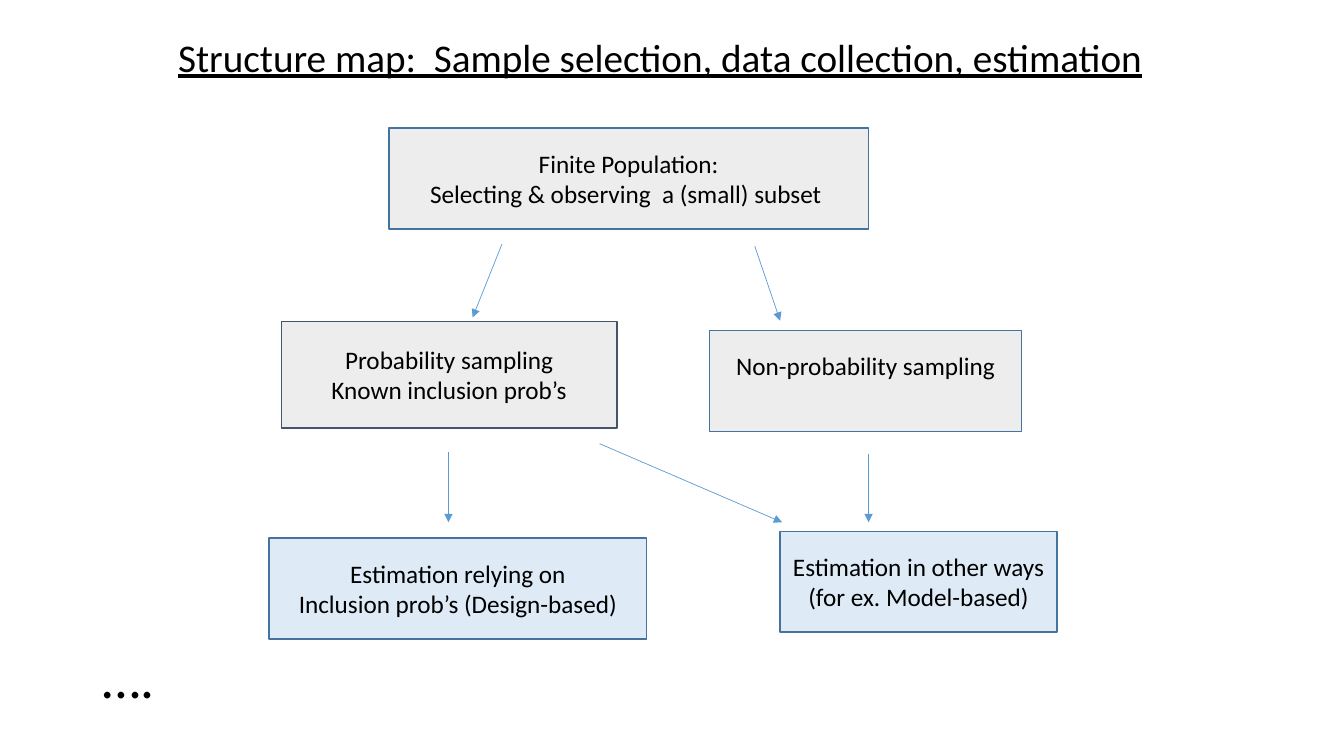
from lxml import etree
from pptx import Presentation
from pptx.dml.color import RGBColor
from pptx.enum.shapes import MSO_CONNECTOR, MSO_SHAPE
from pptx.enum.text import MSO_ANCHOR, PP_ALIGN
from pptx.oxml.ns import qn
from pptx.util import Cm, Pt

STRAIGHT = MSO_CONNECTOR.STRAIGHT
RECTANGLE = MSO_SHAPE.RECTANGLE
TOP, MIDDLE = MSO_ANCHOR.TOP, MSO_ANCHOR.MIDDLE
LEFT, CENTER = PP_ALIGN.LEFT, PP_ALIGN.CENTER

BLACK = RGBColor(0x00, 0x00, 0x00)
GRAY = RGBColor(0xED, 0xED, 0xED)
PALE_BLUE = RGBColor(0xDE, 0xEB, 0xF7)
BLUE = RGBColor(0x43, 0x73, 0x9E)
SLATE = RGBColor(0x44, 0x54, 0x6A)
ARROW_BLUE = RGBColor(0x5B, 0x9B, 0xD5)

FONT = "Calibri"
BOX_HEIGHT = 2.54
ARROW_END = 9.93

# Left, top, width, height (cm, within the map), text, fill, outline, bottom inset
BOXES = [
    (3.02, 0, 12.09, BOX_HEIGHT,
     "Finite Population:\nSelecting & observing  a (small) subset ", GRAY, BLUE, 0.13),
    (0.31, 4.87, 8.46, 2.69,
     "Probability sampling\nKnown inclusion prob’s", GRAY, SLATE, 0.13),
    (11.1, 5.1, 7.87, BOX_HEIGHT, "Non-probability sampling", GRAY, BLUE, 0.9),
    (0, 10.33, 9.52, BOX_HEIGHT,
     "Estimation relying on\nInclusion prob’s (Design-based)", PALE_BLUE, BLUE, 0.13),
    (12.88, 10.16, 6.98, BOX_HEIGHT,
     "Estimation in other ways\n(for ex. Model-based)", PALE_BLUE, BLUE, 0.13),
]

# Start x, start y, end x, end y (cm, within the map)
ARROWS = [
    (5.87, 2.92, 5.13, 4.77),
    (12.24, 2.97, 12.88, 4.85),
    (4.52, 8.17, 4.52, ARROW_END),
    (8.33, 7.95, 12.93, ARROW_END),
    (15.11, 8.2, 15.11, ARROW_END),
]


def write_text(shape, text, size=18, align=LEFT, anchor=MIDDLE,
               underline=None, spacing=None, bottom=0.13):
    frame = shape.text_frame
    frame.word_wrap = True
    frame.vertical_anchor = anchor
    frame.margin_bottom = Cm(bottom)
    for index, line in enumerate(text.split("\n")):
        para = frame.paragraphs[0] if index == 0 else frame.add_paragraph()
        para.alignment = align
        para.line_spacing = spacing
        span = para.add_run()
        span.text = line
        span.font.name = FONT
        span.font.size = Pt(size)
        span.font.underline = underline
        span.font.color.rgb = BLACK


def add_text(page, box, text, **text_format):
    shape = page.shapes.add_textbox(*map(Cm, box))
    write_text(shape, text, spacing=0.9, **text_format)


def add_box(page, box, text, fill, outline, bottom):
    shape = page.shapes.add_shape(RECTANGLE, *map(Cm, box))
    shape.shadow.inherit = False
    shape.fill.solid()
    shape.fill.fore_color.rgb = fill
    shape.line.color.rgb = outline
    shape.line.width = Pt(1)
    write_text(shape, text, align=CENTER, bottom=bottom)


def add_arrow(page, points):
    arrow = page.shapes.add_connector(STRAIGHT, *map(Cm, points))
    arrow.line.color.rgb = ARROW_BLUE
    arrow.line.width = Pt(0.5)
    properties = arrow.element.spPr
    etree.SubElement(properties.find(qn("a:ln")), qn("a:tailEnd"), type="triangle")
    etree.SubElement(properties, qn("a:effectLst"))


def draw_structure_map(page, left, top):
    for x, y, width, height, *content in BOXES:
        add_box(page, (left + x, top + y, width, height), *content)
    for start_x, start_y, end_x, end_y in ARROWS:
        add_arrow(page, (left + start_x, top + start_y, left + end_x, top + end_y))


def main():
    deck = Presentation()
    deck.slide_width, deck.slide_height = Cm(33.87), Cm(19.05)
    page = deck.slides.add_slide(deck.slide_layouts[6])
    add_text(page, (4.24, 0.84, 26.67, 1.4),
             "Structure map:  Sample selection, data collection, estimation",
             size=28, anchor=TOP, underline=True)
    draw_structure_map(page, 6.78, 3.23)
    add_text(page, (2.34, 16.51, 29.21, 1.27), "….", size=39.6)
    deck.save("out.pptx")


if __name__ == "__main__":
    main()
